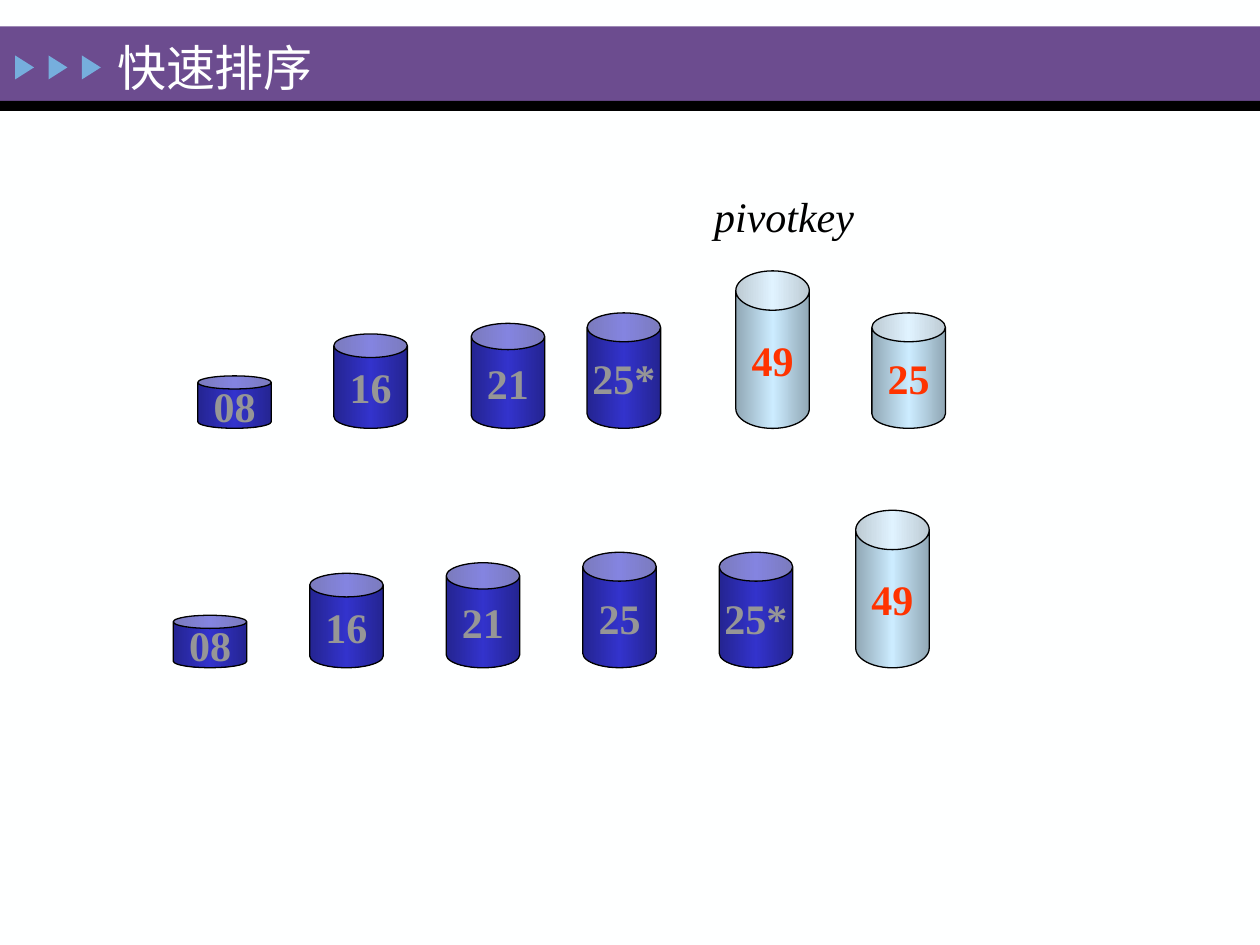
from lxml import etree
from pptx import Presentation
from pptx.dml.color import RGBColor
from pptx.enum import shapes, text
from pptx.oxml.ns import qn
from pptx.util import Inches, Pt

FONT = "Times New Roman"
UNIT = 1 / 12              # bar heights, widths and gaps are whole units
SIZES = {"08": 5, "16": 9, "21": 10, "25": 11, "25*": 11, "49": 15}
SORTED = ("3333CC", "969696")      # body and label colours
UNSORTED = ("CCECFF", "FF3300")


def color(value):
    return RGBColor.from_string(value)


def box_of(*lengths):
    return [Inches(length) for length in lengths]


def style_span(para, size, value, bold=False, italic=False):
    font = para.runs[0].font
    font.name, font.size = FONT, Pt(size)
    font.bold, font.italic = bold, italic
    font.color.rgb = color(value)


def add_plain(parent, kind, box, fill):
    shape = parent.add_shape(kind, *box_of(*box))
    shape.shadow.inherit = False
    shape.fill.solid()
    shape.fill.fore_color.rgb = color(fill)
    shape.line.fill.background()
    return shape


def shade_sides(shape, value):
    """Horizontal gradient: shaded edges around a bright middle."""
    shape.fill.gradient()
    shape.fill.gradient_angle = 0
    stops = shape.element.spPr.find(qn("a:gradFill")).find(qn("a:gsLst"))
    for stop in list(stops):
        stops.remove(stop)
    for position in (0, 50, 100):
        stop = etree.SubElement(stops, qn("a:gs"), pos=str(position * 1000))
        tone = etree.SubElement(stop, qn("a:srgbClr"), val=value)
        if position != 50:
            etree.SubElement(tone, qn("a:shade"), val="46275")


def add_can(page, left, bottom, label, colors):
    height = SIZES[label] * UNIT
    can = page.shapes.add_shape(
        shapes.MSO_SHAPE.CAN,
        *box_of(left, bottom - height, 7 * UNIT, height))
    can.shadow.inherit = False
    can.adjustments[0] = max(0.25, SIZES[label] / 28)
    body, ink = colors
    shade_sides(can, body)
    can.line.color.rgb = color("000000")
    can.line.width = Pt(0.75)
    frame = can.text_frame
    frame.text = label
    frame.word_wrap = False
    frame.vertical_anchor = text.MSO_ANCHOR.MIDDLE
    para = frame.paragraphs[0]
    para.alignment = text.PP_ALIGN.CENTER
    style_span(para, 24, ink, bold=True)


def add_row(page, bottom, lefts, labels, unsorted):
    for left, label in zip(lefts, labels):
        add_can(page, left, bottom, label,
                UNSORTED if label in unsorted else SORTED)


def add_header(page, left, top, width):
    # Bands
    rect = shapes.MSO_SHAPE.RECTANGLE
    add_plain(page.shapes, rect, (left, top, width, 0.59), "6C4C8F")
    add_plain(page.shapes, rect, (left, top + 0.59, width, 0.08), "000000")
    # Three arrowheads
    group = page.shapes.add_group_shape()
    for index in range(3):
        arrow = add_plain(group.shapes, shapes.MSO_SHAPE.ISOSCELES_TRIANGLE,
                          (left + 0.1 + index * 0.265, top + 0.25, 0.19, 0.15),
                          "76AEDD")
        arrow.rotation = 90
    # Title, brought in front of the bands
    title = page.shapes.title
    title.element.getparent().append(title.element)
    title.left, title.top, title.width, title.height = box_of(
        left + 0.83, top + 0.03, 2.67, 0.58)
    title.text_frame.text = "快速排序"
    title.text_frame.vertical_anchor = text.MSO_ANCHOR.MIDDLE
    para = title.text_frame.paragraphs[0]
    para.alignment = text.PP_ALIGN.LEFT
    style_span(para, 28, "FEFFFF")


def add_pivot_label(page, box):
    frame = page.shapes.add_textbox(*box_of(*box)).text_frame
    frame.word_wrap = True
    frame.auto_size = text.MSO_AUTO_SIZE.SHAPE_TO_FIT_TEXT
    frame.text = "pivotkey"
    style_span(frame.paragraphs[0], 24, "000000", italic=True)


def main():
    deck = Presentation()
    deck.slide_width, deck.slide_height = box_of(10, 7.5)
    page = deck.slides.add_slide(deck.slide_layouts[5])
    page.background.fill.solid()
    page.background.fill.fore_color.rgb = color("FEFFFF")

    add_header(page, 0, 0.21, 10)
    # Partition step in progress
    add_row(page, 3.4, (1.57, 2.65, 3.74, 4.66, 5.84, 6.92),
            ("08", "16", "21", "25*", "49", "25"), ("49", "25"))
    add_pivot_label(page, (5.57, 1.46, 1.34, 0.5))
    # Result, evenly spaced
    add_row(page, 5.3, [1.375 + index * 13 * UNIT for index in range(6)],
            ("08", "16", "21", "25", "25*", "49"), ("49",))
    deck.save("out.pptx")


if __name__ == "__main__":
    main()
